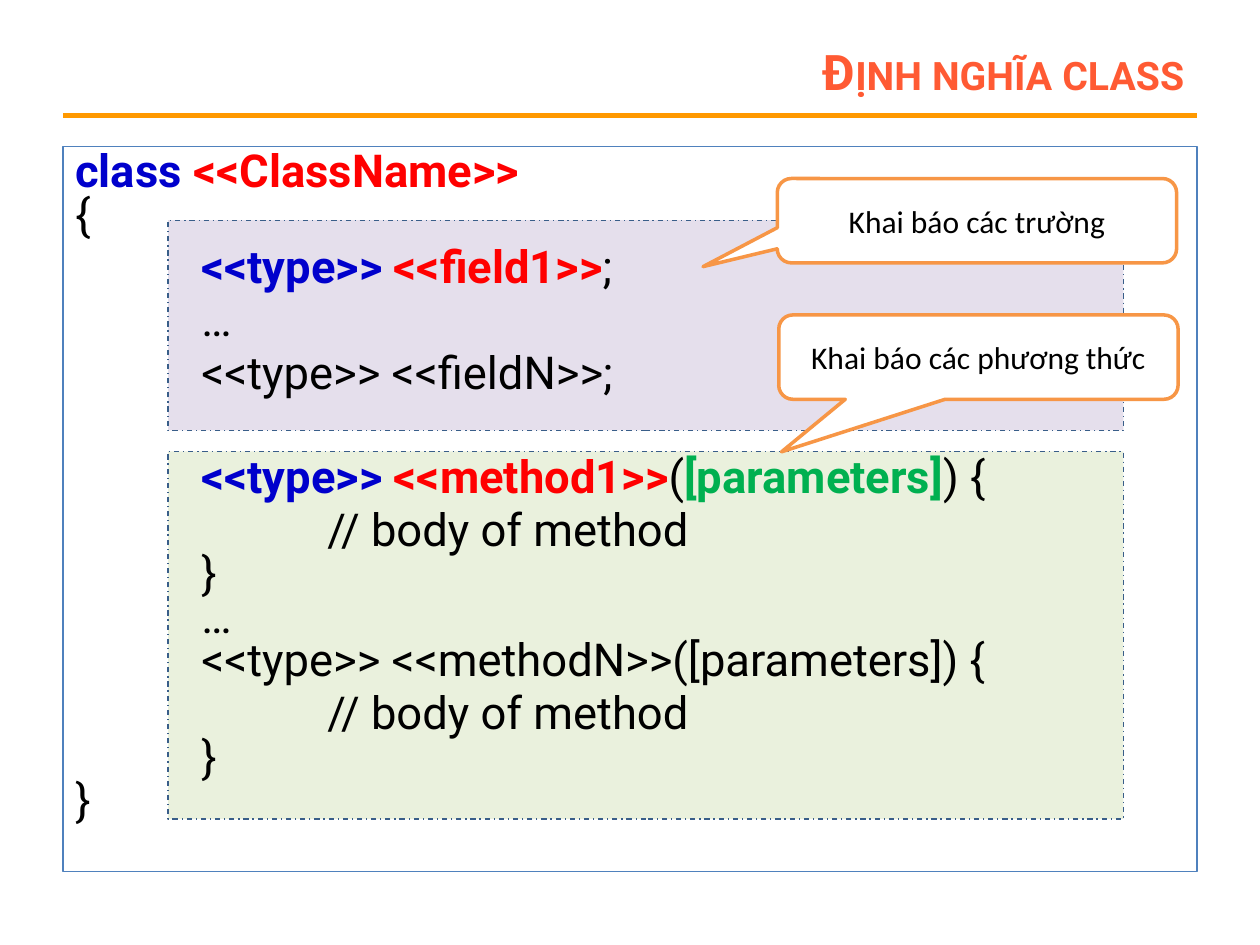
"""Build a slide that explains how a class is defined."""
from dataclasses import dataclass

from lxml.etree import SubElement
from pptx import Presentation
from pptx.dml.color import RGBColor
from pptx.enum.dml import MSO_LINE_DASH_STYLE as Dash
from pptx.enum.shapes import MSO_CONNECTOR, MSO_SHAPE as Shape
from pptx.enum.text import MSO_ANCHOR as Anchor, MSO_AUTO_SIZE as AutoSize, PP_ALIGN as Align
from pptx.oxml.ns import qn
from pptx.util import Cm, Pt

BLACK = RGBColor(0x00, 0x00, 0x00)
WHITE = RGBColor(0xFF, 0xFF, 0xFF)
BLUE = RGBColor(0x00, 0x00, 0xCC)
RED = RGBColor(0xFF, 0x00, 0x00)
GREEN = RGBColor(0x00, 0xB0, 0x50)
CORAL = RGBColor(0xFF, 0x5A, 0x33)
AMBER = RGBColor(0xFF, 0x99, 0x00)
ORANGE = RGBColor(0xF7, 0x96, 0x46)
FRAME = RGBColor(0x4F, 0x81, 0xBD)
NAVY = RGBColor(0x39, 0x5E, 0x89)
LILAC = RGBColor(0xE5, 0xDF, 0xEC)
MINT = RGBColor(0xEA, 0xF1, 0xDD)

PLAIN = {"name": "Roboto", "size": Pt(25.9), "bold": False}
STRONG = {**PLAIN, "bold": True}
TITLE = {"name": "Roboto", "size": Pt(28), "bold": True}
LABEL = {"name": "Calibri", "size": Pt(18)}
TABS = (Cm(2.54), Cm(5.08))
GAP, SECTION_GAP = 5.2, 34.7


@dataclass(frozen=True)
class Panel:
    top: float
    height: float
    fill: RGBColor


@dataclass(frozen=True)
class Callout:
    left: float
    top: float
    text: str
    tip: tuple[float, float]


@dataclass(frozen=True)
class CodeLine:
    tokens: tuple[tuple[str, RGBColor], ...]
    before: float = GAP


PANELS = (Panel(4.44, 4.24, LILAC), Panel(9.1, 7.41, MINT))
CALLOUTS = (
    Callout(15.67, 3.6, "Khai báo các trường", (-0.686, 0.545)),
    Callout(15.7, 6.35, "Khai báo các phương thức", (-0.493, 1.123)),
)
CODE = (
    CodeLine((("class ", BLUE), ("<<ClassName>>\n", RED), ("{", BLACK)), 0),
    CodeLine((("\t", BLACK), ("<<type>> ", BLUE), ("<<field1>>", RED), (";", BLACK))),
    CodeLine((("\t…", BLACK),)),
    CodeLine((("\t<<type>> <<fieldN>>;", BLACK),)),
    CodeLine((("\t", BLACK), ("<<type>> ", BLUE), ("<<method1>>", RED), ("(", BLACK),
              ("[parameters]", GREEN), (") {", BLACK)), SECTION_GAP),
    CodeLine((("\t\t// body of method\n\t}\n\t…\n\t<<type>> <<methodN>>([parameters]) {", BLACK),)),
    CodeLine((("\t\t// body of method\n\t}\n}", BLACK),)),
)


def apply(target, values: dict) -> None:
    for name, value in values.items():
        setattr(target, name, value)


def add_run(p, text: str, color: RGBColor, style: dict):
    r = p.add_run()
    r.text = text
    apply(r.font, style)
    r.font.color.rgb = color
    return r


def add_box(s, kind, box: tuple[float, ...], line: RGBColor, width: float, fill=None):
    sp = s.shapes.add_shape(kind, *map(Cm, box))
    sp.shadow.inherit = False
    if fill is None:
        sp.fill.background()
    else:
        sp.fill.solid()
        sp.fill.fore_color.rgb = fill
    sp.line.color.rgb = line
    sp.line.width = Pt(width)
    return sp


def add_title(s, text: str) -> None:
    sp = s.shapes.title
    apply(sp, dict(zip(("left", "top", "width", "height"), map(Cm, (5.71, 0.76, 18.42, 1.35)))))
    apply(sp.text_frame, {"vertical_anchor": Anchor.MIDDLE, "auto_size": AutoSize.NONE, "word_wrap": True})
    p = sp.text_frame.paragraphs[0]
    p.alignment = Align.RIGHT
    r = add_run(p, text, CORAL, TITLE)
    r.font._element.set("cap", "small")


def add_rule(s) -> None:
    line = s.shapes.add_connector(MSO_CONNECTOR.STRAIGHT, *map(Cm, (1.27, 2.33, 24.13, 2.33)))
    line.line.color.rgb = AMBER
    line.line.width = Pt(3)
    SubElement(line._element.spPr, qn("a:effectLst"))


def add_panel(s, panel: Panel) -> None:
    sp = add_box(s, Shape.RECTANGLE, (3.39, panel.top, 19.26, panel.height), NAVY, 0.75, panel.fill)
    sp.line.dash_style = Dash.DASH_DOT


def add_code(s, lines: tuple[CodeLine, ...]) -> None:
    sp = add_box(s, Shape.RECTANGLE, (1.27, 2.96, 22.86, 14.61), FRAME, 0.75)
    tf = sp.text_frame
    apply(tf, {"vertical_anchor": Anchor.TOP, "word_wrap": True})
    for i, line in enumerate(lines):
        p = tf.add_paragraph() if i else tf.paragraphs[0]
        apply(p, {"alignment": Align.LEFT, "line_spacing": 0.8, "space_before": Pt(line.before)})
        stops = SubElement(p._p.get_or_add_pPr(), qn("a:tabLst"))
        for pos in TABS:
            SubElement(stops, qn("a:tab"), pos=str(int(pos)), algn="l")
        for text, color in line.tokens:
            for n, piece in enumerate(text.split("\n")):
                if n:
                    p.add_line_break()
                if piece:
                    add_run(p, piece, color, PLAIN if color == BLACK else STRONG)


def add_callout(s, callout: Callout) -> None:
    box = (callout.left, callout.top, 8.05, 1.7)
    sp = add_box(s, Shape.ROUNDED_RECTANGULAR_CALLOUT, box, ORANGE, 2, WHITE)
    for i, value in enumerate((*callout.tip, 0.167)):
        sp.adjustments[i] = value
    apply(sp.text_frame, {"vertical_anchor": Anchor.MIDDLE, "word_wrap": True})
    p = sp.text_frame.paragraphs[0]
    p.alignment = Align.CENTER
    add_run(p, callout.text, BLACK, LABEL)


def main() -> None:
    prs = Presentation()
    apply(prs, {"slide_width": Cm(25.4), "slide_height": Cm(19.05)})
    s = prs.slides.add_slide(prs.slide_layouts[5])
    add_rule(s)
    for panel in PANELS:
        add_panel(s, panel)
    add_title(s, "Định nghĩa class")
    add_code(s, CODE)
    for callout in CALLOUTS:
        add_callout(s, callout)
    prs.save("out.pptx")


if __name__ == "__main__":
    main()
